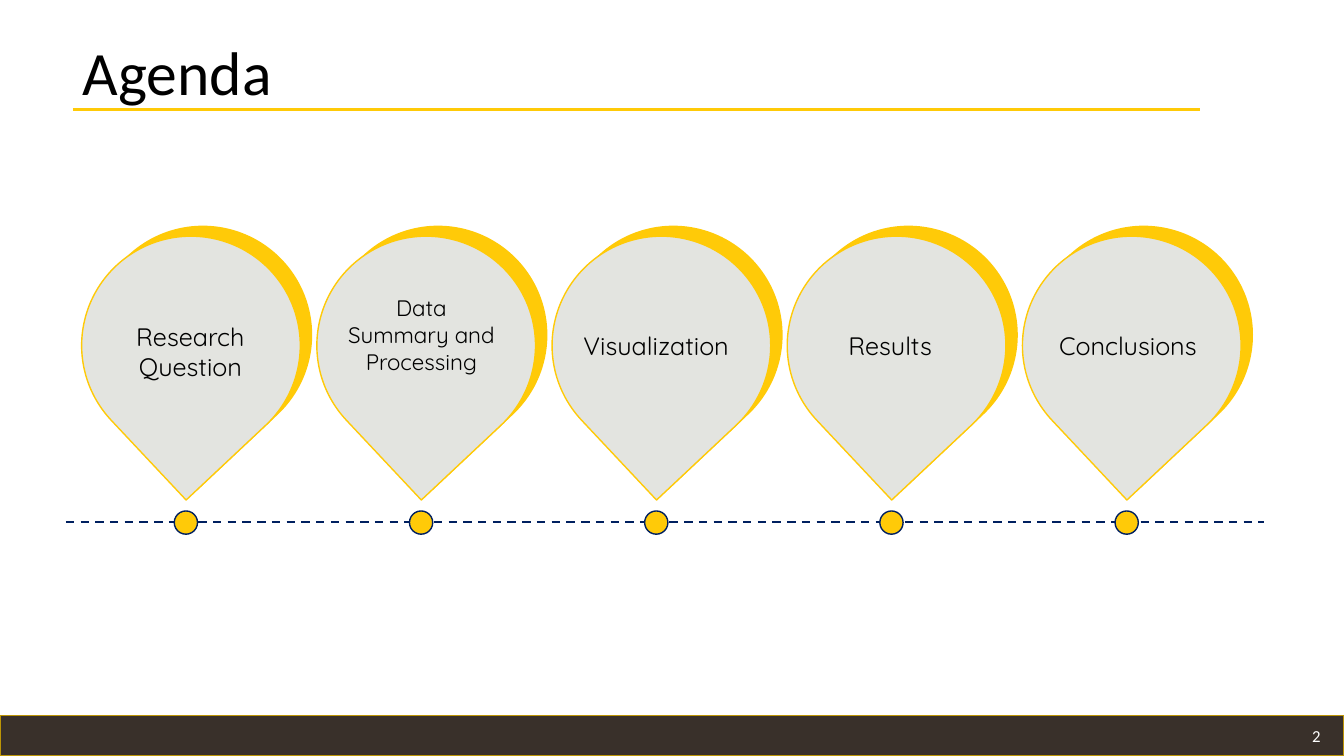
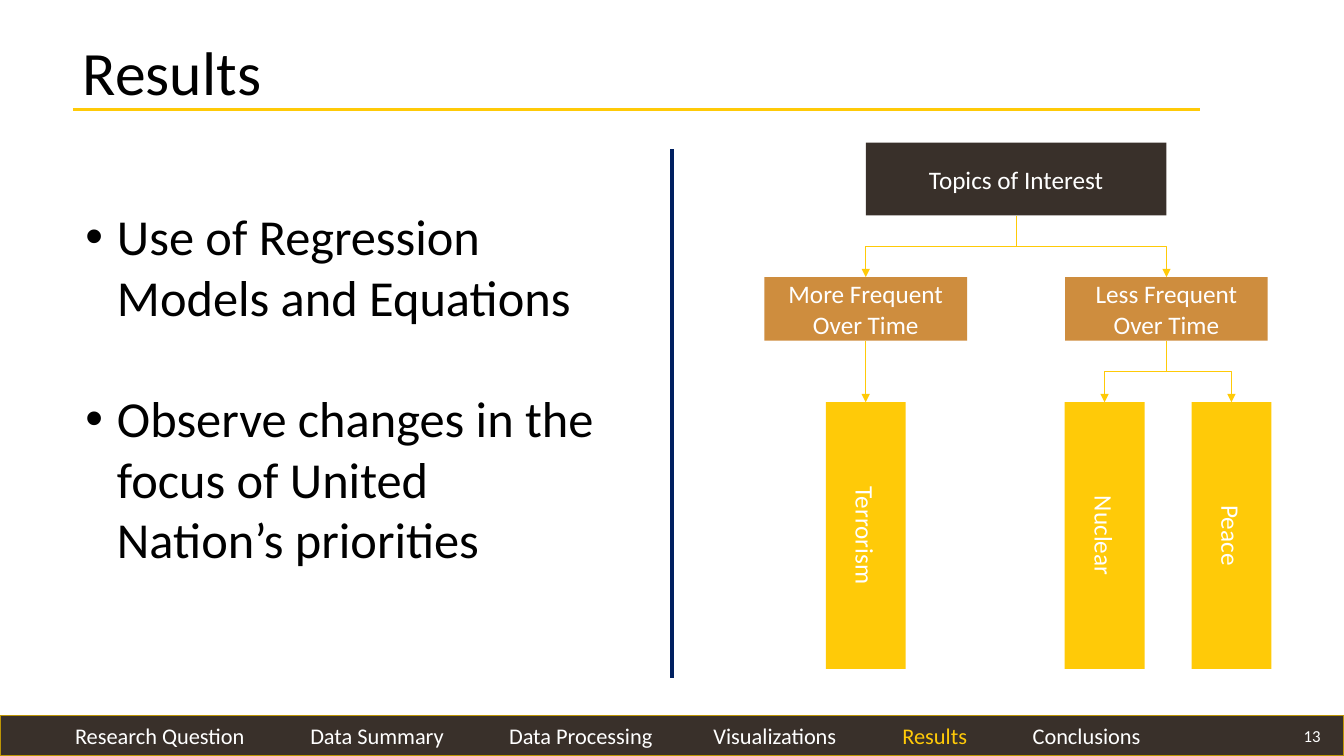
from lxml import etree
from pptx import Presentation
from pptx.dml.color import RGBColor
from pptx.enum import dml, shapes, text
from pptx.oxml.ns import qn
from pptx.util import Pt


class Theme:
    gold, rim, dark, tan = "FFCA08", "BD9506", "39302A", "CE8D3E"
    grey, navy, black, white = "E3E4E0", "002060", "000000", "FFFFFF"
    body, round = "Calibri", "Quicksand"
    title, bullet, label, small, nav, num = 44, 36, 18, 16, 16, 12


KIND = shapes.MSO_SHAPE
LEFT, MID, RIGHT = text.PP_ALIGN.LEFT, text.PP_ALIGN.CENTER, text.PP_ALIGN.RIGHT


def add(page, kind, box, fill=None, edge=None, runs=(), size=Theme.label,
        font=Theme.body, align=MID, anchor=text.MSO_ANCHOR.MIDDLE, turn=0):
    """Add a shape, or a text box if kind is None; runs are (words, colour)."""
    box = [Pt(n) for n in box]
    if kind is None:
        item = page.shapes.add_textbox(*box)
    else:
        item = page.shapes.add_shape(kind, *box)
        item.shadow.inherit = False
        item.fill.solid()
        item.fill.fore_color.rgb = RGBColor.from_string(fill)
        if edge:
            item.line.color.rgb = RGBColor.from_string(edge)
            item.line.width = Pt(1)
        else:
            item.line.fill.background()
    item.rotation = turn
    frame = item.text_frame
    frame.word_wrap = True
    frame.vertical_anchor = anchor
    par = frame.paragraphs[0]
    par.alignment = align
    for words, color in runs:
        run = par.add_run()
        run.text = words
        run.font.size = Pt(size)
        run.font.name = font
        run.font.color.rgb = RGBColor.from_string(color)
    return item


def wire(page, start, end, color, width, dash=None, arrow=False):
    """Join two points; where x and y both differ, bend halfway down."""
    (x1, y1), (x2, y2) = start, end
    bent = x1 != x2 and y1 != y2
    if bent:
        # An elbow runs sideways first, so lay it flat and turn it upright.
        midx, midy = (x1 + x2) / 2, (y1 + y2) / 2
        wide, high = y2 - y1, abs(x2 - x1)
        side = 1 if x2 < x1 else -1
        ends = (midx - side * wide / 2, midy - high / 2,
                midx + side * wide / 2, midy + high / 2)
    else:
        ends = x1, y1, x2, y2
    kind = shapes.MSO_CONNECTOR.ELBOW if bent else shapes.MSO_CONNECTOR.STRAIGHT
    item = page.shapes.add_connector(kind, *[Pt(n) for n in ends])
    item.line.color.rgb = RGBColor.from_string(color)
    item.line.width = Pt(width)
    if dash:
        item.line.dash_style = dash
    props = item._element.spPr
    if bent:
        turn = 90 if side > 0 else 270
        props.find(qn("a:xfrm")).set("rot", str(turn * 60000))
    if arrow:
        etree.SubElement(props.find(qn("a:ln")), qn("a:tailEnd"), type="triangle")
    etree.SubElement(props, qn("a:effectLst"))


deck = Presentation()
deck.slide_width, deck.slide_height = Pt(960), Pt(540)

# Shared frame: title, rule, footer band and page number
pages, bars = [], []
for name, num in (("Agenda", "2"), ("Results", "13")):
    page = deck.slides.add_slide(deck.slide_layouts[5])
    head = page.shapes.title
    head.left, head.top, head.width, head.height = Pt(52), Pt(2), Pt(828), Pt(104.4)
    head.text_frame.vertical_anchor = text.MSO_ANCHOR.MIDDLE
    par = head.text_frame.paragraphs[0]
    par.alignment, par.line_spacing = LEFT, 0.9
    run = par.add_run()
    run.text = name
    run.font.size, run.font.name = Pt(Theme.title), Theme.body
    run.font.color.rgb = RGBColor.from_string(Theme.black)
    wire(page, (52, 78.5), (857, 78.5), Theme.gold, 2)
    here = [("Research Question", Theme.white)] + [
        ("\t" + word, Theme.gold if word == name else Theme.white)
        for word in ("Data Summary", "Data Processing", "Visualizations",
                     "Results", "Conclusions")]
    bar = add(page, KIND.RECTANGLE, (0, 511, 960, 29), Theme.dark, Theme.rim,
              here if name == "Results" else (), Theme.nav, align=LEFT)
    add(page, None, (734.4, 511, 216, 29), runs=[(num, Theme.white)],
        size=Theme.num, align=RIGHT)
    pages.append(page)
    bars.append(bar)
plan, found = pages

# Agenda: five pins on a dashed time line
wire(plan, (47, 373), (903, 373), Theme.navy, 1.5, dml.MSO_LINE.DASH)
steps = (
    ("Research Question", 136, 226, Theme.label),
    ("Data Summary and Processing", 301, 206.6, Theme.small),
    ("Visualization", 468.7, 232.6, Theme.label),
    ("Results", 635.8, 232.6, Theme.label),
    ("Conclusions", 805.7, 232.6, Theme.label),
)
for i, (name, mid, top, size) in enumerate(steps):
    x = 58.3 + 168 * i
    add(plan, KIND.TEAR, (x + 8.5, 161.2, 156.2, 156.2), Theme.gold, turn=136.8)
    add(plan, KIND.TEAR, (x, 168.7, 156.2, 156.2), Theme.grey, Theme.gold, turn=136.8)
    add(plan, KIND.OVAL, (x + 66.2, 365, 16.6, 16.6), Theme.gold, Theme.navy)
    add(plan, None, (mid - 61, top, 122, 51), runs=[(name, Theme.black)],
        size=size, font=Theme.round, anchor=text.MSO_ANCHOR.TOP)

# Results: section tabs in the footer band
bars[1].text_frame.margin_left = Pt(53.6)
props = bars[1].text_frame.paragraphs[0]._p.get_or_add_pPr()
stops = etree.SubElement(props, qn("a:tabLst"))
for stop in (168, 310, 456, 591, 684):
    etree.SubElement(stops, qn("a:tab"), pos=str(Pt(stop)), algn="l")

# Results: bullets and divider
notes = add(found, None, (54, 143.3, 384.5, 334), anchor=text.MSO_ANCHOR.TOP).text_frame
for i, words in enumerate(("Use of Regression Models and Equations",
                           "Observe changes in the focus of United Nation’s priorities")):
    par = notes.add_paragraph() if i else notes.paragraphs[0]
    par.alignment = LEFT
    if i:
        par.space_before = Pt(43.5)
    props = par._p.get_or_add_pPr()
    props.set("marL", str(Pt(22.5)))
    props.set("indent", str(Pt(-22.5)))
    etree.SubElement(props, qn("a:buFont"), typeface="Arial")
    etree.SubElement(props, qn("a:buChar"), char="•")
    run = par.add_run()
    run.text = words
    run.font.size, run.font.name = Pt(Theme.bullet), Theme.body
    run.font.color.rgb = RGBColor.from_string(Theme.black)
wire(found, (480, 106.5), (480, 484.5), Theme.navy, 2.25)

# Results: topic tree, each branch with its centre and leaves
root = 725.8
add(found, KIND.RECTANGLE, (root - 107.3, 102, 214.6, 52), Theme.dark,
    runs=[("Topics of Interest", Theme.white)])
tree = (
    ("More Frequent Over Time", 618.4, (("Terrorism", 618.4),)),
    ("Less Frequent Over Time", 833.2, (("Nuclear", 789), ("Peace", 879.6))),
)
for name, mid, leaves in tree:
    add(found, KIND.RECTANGLE, (mid - 72.4, 198, 144.8, 45.4), Theme.tan,
        runs=[(name, Theme.white)])
    wire(found, (root, 154), (mid, 198), Theme.gold, 0.5, arrow=True)
    for leaf, x in leaves:
        add(found, KIND.RECTANGLE, (x - 95.3, 354.1, 190.6, 57), Theme.gold,
            runs=[(leaf, Theme.white)], turn=90)
        wire(found, (mid, 243.4), (x, 287.3), Theme.gold, 0.5, arrow=True)

deck.save("out.pptx")
